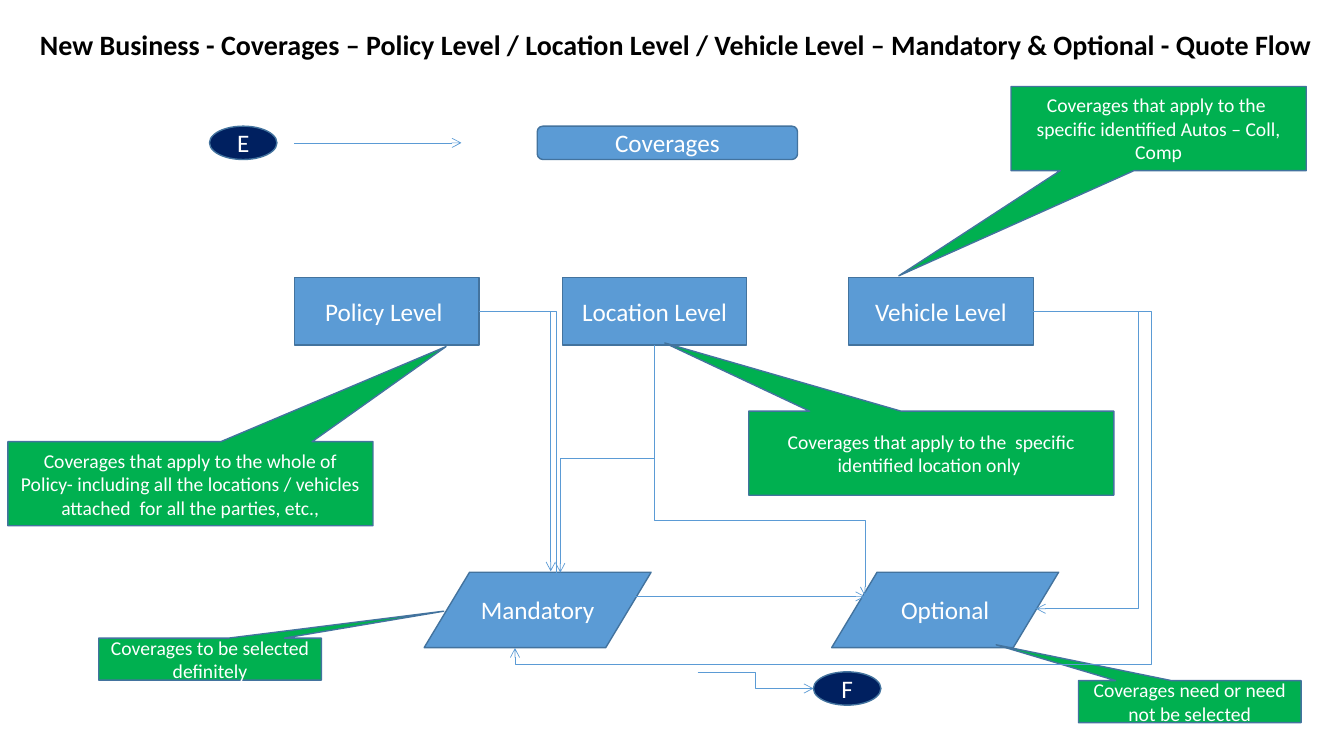
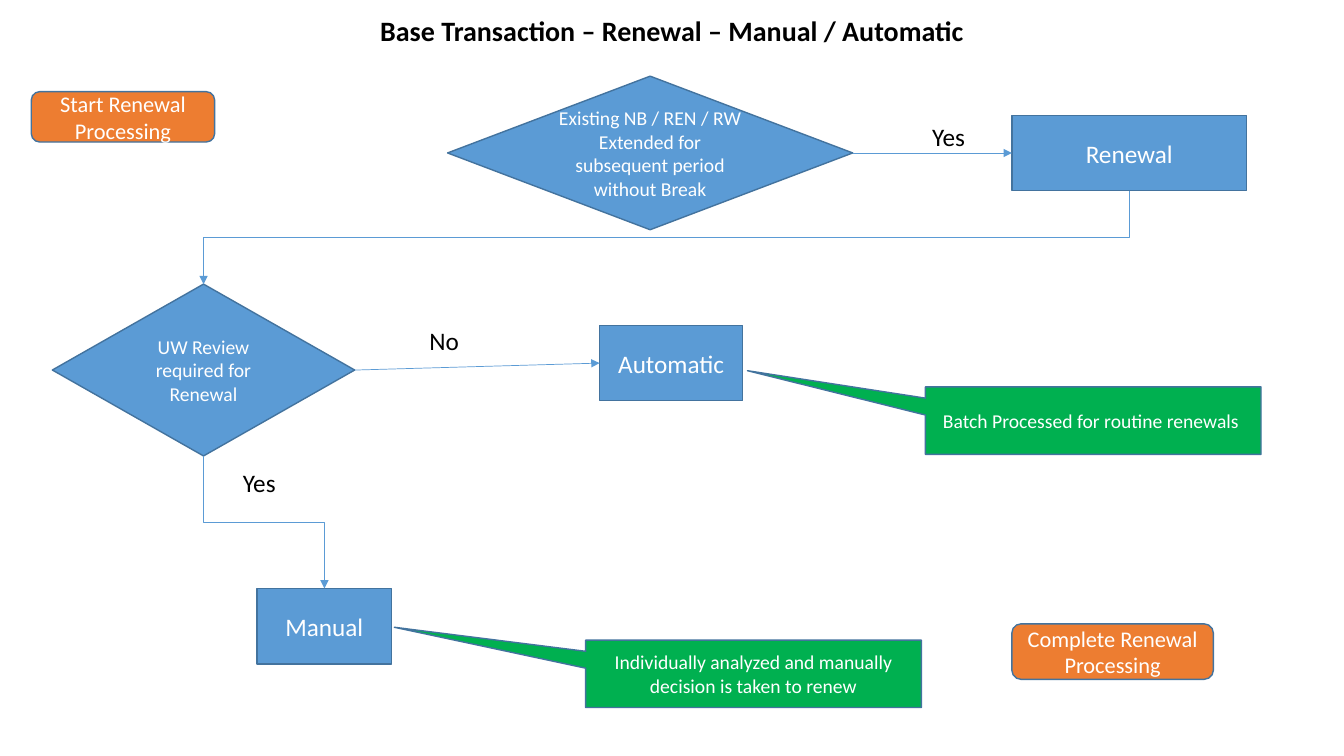
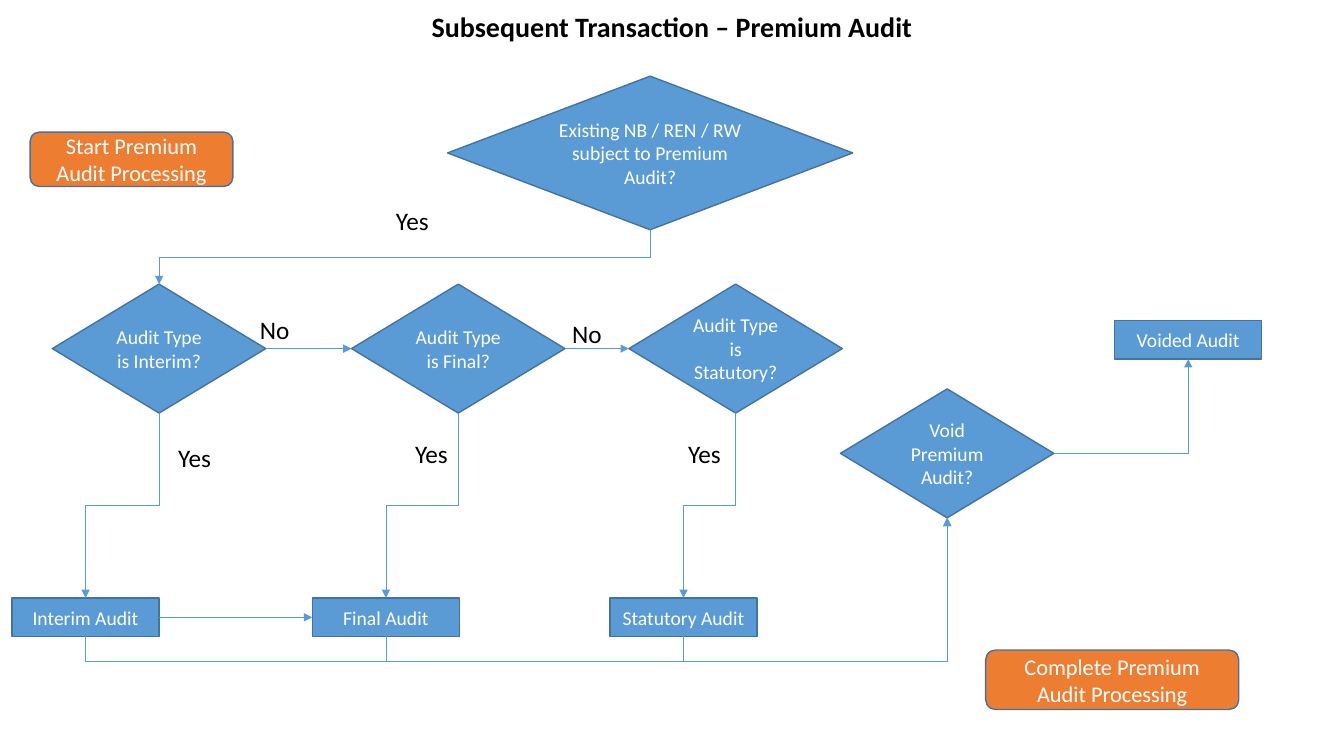
from pptx import Presentation
from pptx.dml.color import RGBColor
from pptx.enum.shapes import MSO_CONNECTOR, MSO_SHAPE
from pptx.enum.text import MSO_ANCHOR, PP_ALIGN
from pptx.oxml.ns import qn
from pptx.util import Cm, Pt
from lxml import etree

ELLIPSE = MSO_SHAPE.OVAL
ROUNDED = MSO_SHAPE.ROUNDED_RECTANGLE
RECT = MSO_SHAPE.RECTANGLE
PROCESS = MSO_SHAPE.FLOWCHART_PROCESS
DATA = MSO_SHAPE.FLOWCHART_DATA
DECISION = MSO_SHAPE.FLOWCHART_DECISION
CALLOUT = MSO_SHAPE.RECTANGULAR_CALLOUT
STRAIGHT, ELBOW = MSO_CONNECTOR.STRAIGHT, MSO_CONNECTOR.ELBOW
CENTER, MIDDLE = PP_ALIGN.CENTER, MSO_ANCHOR.MIDDLE

FONT = "Calibri"
BLUE, OUTLINE, NAVY = "5B9BD5", "43739E", "002060"
GREEN, ORANGE, WHITE, BLACK = "00B050", "ED7D31", "FFFFFF", "000000"
TOP, LEFT, BOTTOM, RIGHT = range(4)
WIDTH, HEIGHT = 33.87, 19.05


def color(hex_code):
    """Turn a hex string into a colour."""
    return RGBColor.from_string(hex_code)


def write(sp, text, size, hex_code, bold=False):
    """Put one styled paragraph into a shape and return it."""
    p = sp.text_frame.paragraphs[0]
    p.text = text
    p.font.name, p.font.size, p.font.bold = FONT, Pt(size), bold
    p.font.color.rgb = color(hex_code)
    return p


def node(s, kind, box, text, size=18, fill=BLUE):
    """Draw a filled flowchart shape with centred white text."""
    sp = s.shapes.add_shape(kind, *map(Cm, box))
    sp.shadow.inherit = False
    sp.fill.solid()
    sp.fill.fore_color.rgb = color(fill)
    sp.line.color.rgb = color(OUTLINE)
    sp.line.width = Pt(1)
    sp.text_frame.vertical_anchor = MIDDLE
    write(sp, text, size, WHITE).alignment = CENTER
    return sp


def note(s, box, tip, text):
    """Draw a green callout whose tip is given as shares of its size."""
    sp = node(s, CALLOUT, box, text, 14, GREEN)
    sp.adjustments[0], sp.adjustments[1] = tip


def terminal(s, box, text):
    """Draw an orange start or end marker."""
    node(s, ROUNDED, box, text, 16, ORANGE)


def label(s, x, y, text):
    """Write a branch answer beside a connector."""
    sp = s.shapes.add_textbox(Cm(x), Cm(y), Cm(1.57), Cm(1.02))
    sp.text_frame.word_wrap = True
    write(sp, text, 18, BLACK)


def new_slide(prs, box, title):
    """Add a blank slide with a centred bold title in the box."""
    s = prs.slides.add_slide(prs.slide_layouts[6])
    sp = s.shapes.add_textbox(*map(Cm, box))
    sp.text_frame.word_wrap = True
    sp.text_frame.vertical_anchor = MIDDLE
    p = write(sp, title, 20, BLACK, True)
    p.alignment, p.line_spacing = CENTER, 0.9
    return s


def side(sp, n):
    """Return the middle of a shape's side in centimetres."""
    x, y, w, h = sp.left.cm, sp.top.cm, sp.width.cm, sp.height.cm
    return [(x + w / 2, y), (x, y + h / 2), (x + w / 2, y + h), (x + w, y + h / 2)][n]


def connector(s, kind, start, end, head):
    """Draw a thin blue connector with an arrowhead at its end."""
    c = s.shapes.add_connector(kind, *map(Cm, start + end))
    c.line.color.rgb = color(BLUE)
    c.line.width = Pt(0.5)
    etree.SubElement(c.line._get_or_add_ln(), qn("a:tailEnd"), type=head)
    etree.SubElement(c._element.spPr, qn("a:effectLst"))
    return c


def join(s, a, b, head="triangle"):
    """Join the right side of one shape to the left side of the next."""
    c = connector(s, STRAIGHT, side(a, RIGHT), side(b, LEFT), head)
    c.begin_connect(a, RIGHT)
    c.end_connect(b, LEFT)


def elbow(s, start, end, bends=(), down=False, head="triangle"):
    """Draw a bent connector turning at the given coordinates, alternating axes."""
    c = connector(s, ELBOW, start, end, head)
    first = 1 if down else 0
    xfrm = c._element.spPr.find(qn("a:xfrm"))
    if down:
        w, h = abs(end[1] - start[1]), abs(end[0] - start[0])
        c.left = Cm((start[0] + end[0] - w) / 2)
        c.top = Cm((start[1] + end[1] - h) / 2)
        c.width, c.height = Cm(w), Cm(h)
        xfrm.set("rot", "5400000")
        xfrm.set("flipH", str(int(end[1] < start[1])))
        xfrm.set("flipV", str(int(end[0] > start[0])))
    geom = c._element.spPr.find(qn("a:prstGeom"))
    geom.set("prst", f"bentConnector{len(bends) + 2}")
    guides = geom.find(qn("a:avLst"))
    for i, bend in enumerate(bends):
        axis = (first + i) % 2
        share = (bend - start[axis]) / (end[axis] - start[axis])
        etree.SubElement(guides, qn("a:gd"), name=f"adj{i + 1}",
                         fmla=f"val {round(share * 100000)}")


def halfway(s, a, b):
    """Lead from the bottom of one shape to the top of another."""
    start, end = side(a, BOTTOM), side(b, TOP)
    elbow(s, start, end, [(start[1] + end[1]) / 2], True)


def entry_row(s, box):
    """Draw the entry marker, its arrow and the coverages heading."""
    x, y, w, h = box
    node(s, ELLIPSE, (x, y, 1.7, h), "E", fill=NAVY)
    connector(s, STRAIGHT, (x + 2.14, y + h / 2), (x + 6.35, y + h / 2), "arrow")
    node(s, ROUNDED, (x + w - 6.56, y, 6.56, h), "Coverages")


def level_row(s, box):
    """Draw the three coverage levels."""
    x, y, w, h = box
    levels = [(0, "Policy Level "), (6.75, "Location Level"), (w - 4.65, "Vehicle Level")]
    return [node(s, PROCESS, (x + dx, y, 4.65, h), text) for dx, text in levels]


def choice_row(s, box):
    """Draw the mandatory and optional choices."""
    x, y, w, h = box
    return [node(s, DATA, (x + dx, y, 5.72, h), text)
            for dx, text in [(0, "Mandatory"), (w - 5.72, "Optional")]]


def coverage_notes(s, box):
    """Explain levels and choices in callouts."""
    x, y = box[:2]
    for dx, dy, w, h, tip, text in [
        (0, 8.95, 9.2, 2.12, (0.7, -1.63),
         "Coverages that apply to the whole of Policy- including all the locations"
         " / vehicles attached  for all the parties, etc.,"),
        (18.67, 8.18, 9.2, 2.12, (-0.73, -1.31),
         "Coverages that apply to the  specific identified location only "),
        (25.28, 0, 7.44, 2.12, (-0.88, 1.75),
         "Coverages that apply to the  specific identified Autos – Coll, Comp"),
        (2.29, 13.9, 5.61, 1.06, (1.05, -1.14), "Coverages to be selected definitely"),
        (26.98, 14.97, 5.61, 1.06, (-0.87, -1.35), "Coverages need or need not be selected"),
    ]:
        note(s, (x + dx, y + dy, w, h), tip, text)


def coverage_slide(prs):
    """Build the coverages quote flow."""
    s = new_slide(prs, (0.2, 0.43, 33.66, 1.47),
                  "New Business - Coverages – Policy Level / Location Level / "
                  "Vehicle Level – Mandatory & Optional - Quote Flow")
    entry_row(s, (5.28, 3.18, 14.82, 0.84))
    policy, location, vehicle = level_row(s, (7.42, 6.99, 18.62, 1.7))
    choice_row(s, (10.69, 14.42, 15.99, 1.9))
    coverage_notes(s, (0.2, 2.18, 32.59, 16.03))
    leave = node(s, ELLIPSE, (20.5, 16.93, 1.7, 0.84), "F", fill=NAVY)
    out, below, away = side(policy, RIGHT), side(location, BOTTOM), side(vehicle, RIGHT)
    optional_in = (21.8, 15.03)
    for start, end, bends, down in [
        (out, (13.88, 14.4), [], False),
        (out, optional_in, [14.02], False),
        (below, (14.12, 14.43), [11.56], True),
        (below, optional_in, [13.12], True),
        (away, (26.11, 15.34), [28.7], False),
        ((26.11, away[1]), (12.98, 16.33), [29.03, 16.74], False),
        ((17.58, 16.94), side(leave, LEFT), [19.03], False),
    ]:
        elbow(s, start, end, bends, down, "arrow")


def renewal_check(s, box):
    """Draw the question that leads to a renewal."""
    x, y, w, h = box
    question = node(s, DECISION, (x, y, 10.21, h),
                    "Existing NB / REN / RW Extended for subsequent period without Break", 14)
    renewal = node(s, RECT, (x + w - 5.92, y + (h - 1.9) / 2, 5.92, 1.9), "Renewal")
    join(s, question, renewal)
    label(s, x + 11.96, y + 1, "Yes")
    return renewal


def review_check(s, box):
    """Draw the review question with its automatic and manual outcomes."""
    x, y, w, h = box
    review = node(s, DECISION, (x, y, 7.62, 4.33), "UW Review required for Renewal", 14)
    automatic = node(s, RECT, (x + 13.79, y + 1.04, 3.61, 1.9), "Automatic")
    manual = node(s, RECT, (x + 5.16, y + h - 1.9, 3.39, 1.9), "Manual")
    note(s, (x + w - 8.46, y + 2.59, 8.46, 1.7), (-1.03, -0.74),
         "Batch Processed for routine renewals ")
    note(s, (x + 13.44, y + 8.97, 8.46, 1.7), (-1.07, -0.69),
         "Individually analyzed and manually decision is taken to renew")
    join(s, review, automatic)
    halfway(s, review, manual)
    label(s, x + 9.25, y + 0.92, "No")
    label(s, x + 4.55, y + 4.5, "Yes")
    return review


def renewal_slide(prs):
    """Build the renewal flow."""
    s = new_slide(prs, (0, 0.18, WIDTH, 1.27),
                  "Base Transaction – Renewal – Manual / Automatic")
    terminal(s, (0.79, 2.31, 4.62, 1.27), "Start Renewal Processing")
    renewal = renewal_check(s, (11.28, 1.92, 20.14, 3.87))
    review = review_check(s, (1.32, 7.16, 30.46, 9.57))
    halfway(s, renewal, review)
    terminal(s, (25.5, 15.72, 5.08, 1.4), "Complete Renewal Processing")


def audit_branch(s, box, name, answer):
    """Draw an audit type question above its audit, with the audit's offset."""
    x, y, w, h = box
    question = node(s, DECISION, (x, y, w, 3.25), f"Audit Type is {name}?", 14)
    dx = {"Interim": -1.02, "Final": -0.99, "Statutory": -0.48}[name]
    audit = node(s, RECT, (x + dx, y + h - 0.97, 3.71, 0.97), f"{name} Audit", 14)
    halfway(s, question, audit)
    label(s, x + answer[0], y + answer[1], "Yes")
    return question, audit


def void_check(s, box):
    """Draw the void question and the voided audit."""
    x, y, w, h = box
    question = node(s, DECISION, (x, y + h - 3.25, 5.38, 3.25), "Void Premium Audit?", 14)
    voided = node(s, RECT, (x + w - 3.71, y, 3.71, 0.97), "Voided Audit", 14)
    elbow(s, side(question, RIGHT), side(voided, BOTTOM))
    return question


def audit_slide(prs):
    """Build the premium audit flow."""
    s = new_slide(prs, (0, 0.08, WIDTH, 1.27), "Subsequent Transaction – Premium Audit")
    terminal(s, (0.76, 3.33, 5.11, 1.37), "Start Premium Audit Processing")
    subject = node(s, DECISION, (11.28, 1.92, 10.21, 3.87),
                   "Existing NB / REN / RW subject to Premium Audit?", 14)
    branches = [audit_branch(s, (x, 7.16, 5.38, 8.88), name, answer)
                for x, name, answer in [(1.32, "Interim", (2.92, 3.86)),
                                        (8.86, "Final", (1.35, 3.76)),
                                        (15.85, "Statutory", (1.24, 3.76))]]
    questions, audits = zip(*branches)
    halfway(s, subject, questions[0])
    for a, b in [questions[:2], questions[1:], audits[:2]]:
        join(s, a, b)
    for x, y, text in [(9.73, 5.05, "Yes"), (6.3, 7.8, "No"), (14.17, 7.9, "No")]:
        label(s, x, y, text)
    void = void_check(s, (21.18, 8.08, 10.62, 4.97))
    for audit in audits:
        elbow(s, side(audit, BOTTOM), side(void, BOTTOM), [16.66], True)
    terminal(s, (24.84, 16.38, 6.38, 1.5), "Complete Premium Audit Processing")


def main():
    """Build and save the presentation."""
    prs = Presentation()
    prs.slide_width, prs.slide_height = Cm(WIDTH), Cm(HEIGHT)
    coverage_slide(prs)
    renewal_slide(prs)
    audit_slide(prs)
    prs.save("out.pptx")


if __name__ == "__main__":
    main()
